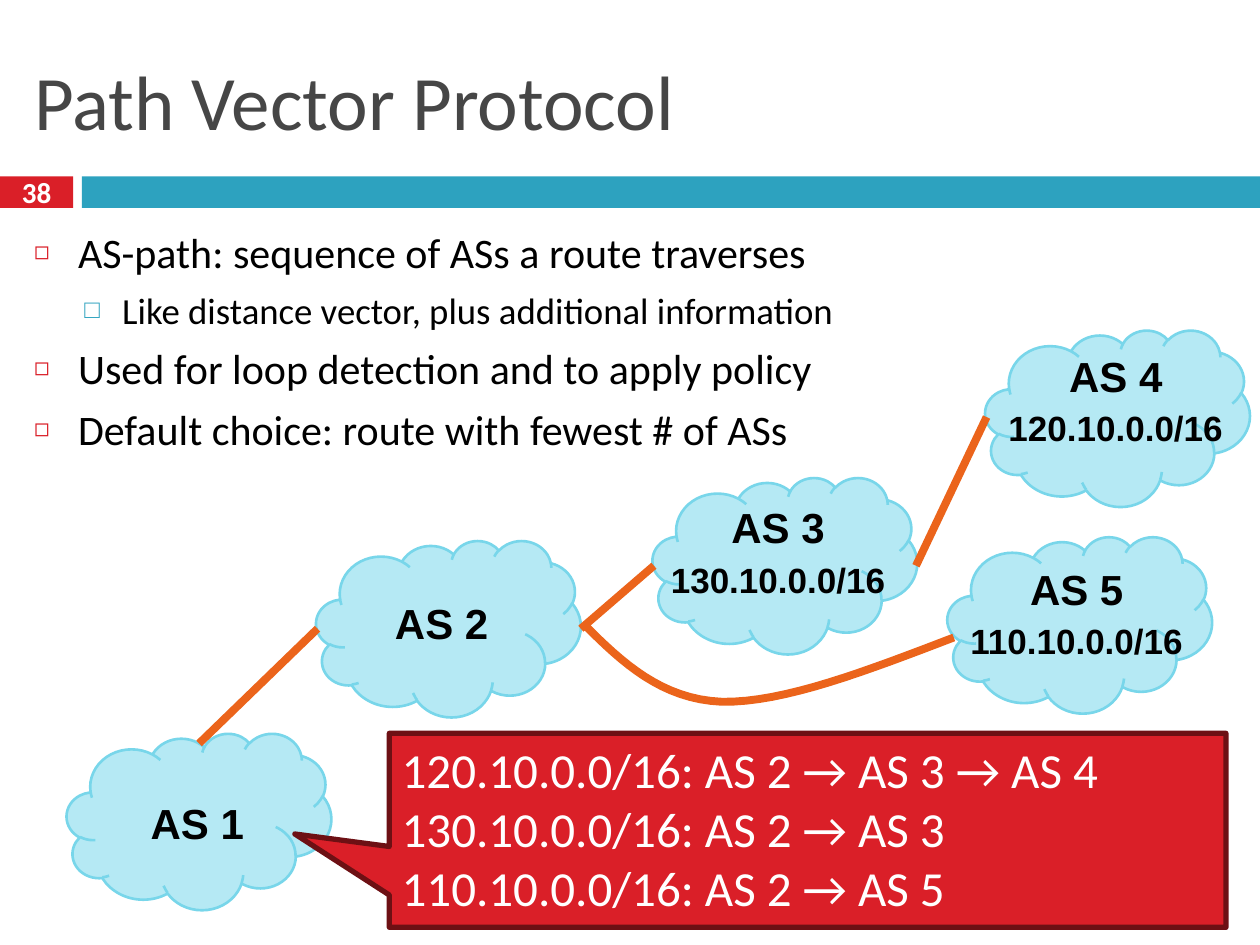
from dataclasses import dataclass

from lxml import etree
from pptx import Presentation, util as u
from pptx.dml.color import RGBColor
from pptx.enum import shapes, text
from pptx.oxml.ns import qn

Point = tuple[float, float]


@dataclass(frozen=True)
class Theme:
    body_font: str = "Calibri"
    label_font: str = "Arial"
    title: str = "464646"
    black: str = "000000"
    white: str = "FFFFFF"
    red: str = "DA1F28"
    dark_red: str = "6D1014"
    teal: str = "2DA2BF"
    cloud: str = "B5E9F4"
    cloud_edge: str = "78D6EA"
    link: str = "EB641B"
    title_size: float = 44
    route_size: float = 28
    bullet_size: float = 24
    sub_bullet_size: float = 21
    name_size: float = 24
    prefix_size: float = 20
    number_size: float = 16.6
    link_width: float = 4.5


@dataclass(frozen=True)
class AutonomousSystem:
    name: str
    corner: Point
    label: Point
    prefix: str = ""


@dataclass(frozen=True)
class Bullet:
    words: str
    level: int = 0


@dataclass(frozen=True)
class BulletStyle:
    char: str
    color: str
    percent: int
    size: float
    margin: float
    hanging: float


T = Theme()
CLOUD_SIZE = (2.1, 1.4)

SYSTEMS = [
    AutonomousSystem("AS 4", (7.82, 2.62), (8.38, 2.73), "120.10.0.0/16"),
    AutonomousSystem("AS 2", (2.51, 4.29), (3.03, 4.69)),
    AutonomousSystem("AS 1", (0.53, 5.82), (1.09, 6.28)),
    AutonomousSystem("AS 5", (7.52, 4.26), (8.07, 4.42), "110.10.0.0/16"),
    AutonomousSystem("AS 3", (5.18, 3.79), (5.7, 3.93), "130.10.0.0/16"),
]
LINKS = [
    ((2.52, 4.99), (1.58, 5.9)),
    ((4.61, 4.99), (5.19, 4.49)),
    ((7.83, 3.31), (7.27, 4.49)),
]
CURVED_LINK = [
    ((4.64, 4.96), (4.94, 5.26), (5.25, 5.55), (5.73, 5.57)),
    ((5.73, 5.57), (6.22, 5.58), (6.89, 5.32), (7.57, 5.06)),
]
BULLETS = [
    Bullet("AS-path: sequence of ASs a route traverses"),
    Bullet("Like distance vector, plus additional information", 1),
    Bullet("Used for loop detection and to apply policy"),
    Bullet("Default choice: route with fewest # of ASs"),
]
BULLET_STYLES = [
    BulletStyle("◻", T.red, 60, T.bullet_size, 0.35, 0.35),
    BulletStyle("□", T.teal, 70, T.sub_bullet_size, 0.7, 0.3),
]
ROUTES = [
    "120.10.0.0/16: AS 2 → AS 3 → AS 4",
    "130.10.0.0/16: AS 2 → AS 3",
    "110.10.0.0/16: AS 2 → AS 5",
]


def rgb(color: str) -> RGBColor:
    return RGBColor.from_string(color)


def inches(*values: float) -> list[u.Length]:
    return [u.Inches(v) for v in values]


def place(sp, x: float, y: float, w: float, h: float) -> None:
    sp.left, sp.top, sp.width, sp.height = inches(x, y, w, h)


def add_run(p, words: str, size: float, color: str,
            font: str = T.body_font, bold: bool = False) -> None:
    r = p.add_run()
    r.text = words
    r.font.size, r.font.name, r.font.bold = u.Pt(size), font, bold
    r.font.color.rgb = rgb(color)


def set_line(sp, color: str, width: float) -> None:
    sp.line.color.rgb = rgb(color)
    sp.line.width = u.Pt(width)


def add_filled(s, kind, at: tuple, fill: str, edge: str = "", width: float = 0):
    sp = s.shapes.add_shape(kind, *inches(*at))
    sp.shadow.inherit = False
    sp.fill.solid()
    sp.fill.fore_color.rgb = rgb(fill)
    if edge:
        set_line(sp, edge, width)
    else:
        sp.line.fill.background()
    return sp


def add_label(s, at: tuple, words: str, size: float) -> None:
    tf = s.shapes.add_textbox(*inches(*at)).text_frame
    tf.word_wrap = False
    p = tf.paragraphs[0]
    p.alignment = text.PP_ALIGN.CENTER
    add_run(p, words, size, T.black, T.label_font, True)


def add_system_labels(s, system: AutonomousSystem) -> None:
    x, y = system.label
    add_label(s, (x, y, 0.95, 0.5), system.name, T.name_size)
    if system.prefix:
        add_label(s, (x - 0.48, y + 0.45, 1.91, 0.43), system.prefix, T.prefix_size)


def add_link(s, start: Point, end: Point) -> None:
    line = s.shapes.add_connector(shapes.MSO_CONNECTOR.STRAIGHT, *inches(*start, *end))
    set_line(line, T.link, T.link_width)
    etree.SubElement(line._element.spPr, qn("a:effectLst"))


def bezier(curve: tuple, t: float) -> Point:
    weights = ((1 - t) ** 3, 3 * t * (1 - t) ** 2, 3 * t * t * (1 - t), t ** 3)
    return tuple(sum(w * p[i] for w, p in zip(weights, curve)) for i in (0, 1))


def add_curved_link(s, curves: list, steps: int = 16) -> None:
    """Trace cubic curves with short segments, as one open outline."""
    points = [inches(*bezier(c, k / steps)) for c in curves for k in range(1, steps + 1)]
    builder = s.shapes.build_freeform(*inches(*curves[0][0]))
    builder.add_line_segments(points, close=False)
    sp = builder.convert_to_shape()
    sp.shadow.inherit = False
    sp.fill.background()
    set_line(sp, T.link, T.link_width)


def add_bullet(p, bullet: Bullet) -> None:
    style = BULLET_STYLES[bullet.level]
    p.level = bullet.level
    p.space_before = u.Pt(6)
    pPr = p._p.get_or_add_pPr()
    pPr.set("marL", str(u.Inches(style.margin)))
    pPr.set("indent", str(-u.Inches(style.hanging)))
    color = etree.SubElement(pPr, qn("a:buClr"))
    etree.SubElement(color, qn("a:srgbClr"), val=style.color)
    etree.SubElement(pPr, qn("a:buSzPct"), val=str(style.percent * 1000))
    etree.SubElement(pPr, qn("a:buChar"), char=style.char)
    add_run(p, bullet.words, style.size, T.black)


def fill_paragraphs(tf, items: list, write) -> None:
    for i, item in enumerate(items):
        write(tf.add_paragraph() if i else tf.paragraphs[0], item)


def add_route(p, route: str) -> None:
    p.alignment = text.PP_ALIGN.LEFT
    add_run(p, route, T.route_size, T.white)


def main() -> None:
    prs = Presentation()
    prs.slide_width, prs.slide_height = inches(10, 7.5)
    s = prs.slides.add_slide(prs.slide_layouts[1])
    kinds = shapes.MSO_SHAPE

    title, body = s.placeholders
    place(title, 0.17, 0.25, 9.67, 1.08)
    title.text_frame.vertical_anchor = text.MSO_ANCHOR.MIDDLE
    title.text_frame.paragraphs[0].alignment = text.PP_ALIGN.LEFT
    add_run(title.text_frame.paragraphs[0], "Path Vector Protocol", T.title_size, T.title)
    place(body, 0.17, 1.75, 9.67, 2.43)
    fill_paragraphs(body.text_frame, BULLETS, add_bullet)

    number = add_filled(s, kinds.RECTANGLE, (0, 1.4, 0.58, 0.25), T.red)
    tf = number.text_frame
    tf.margin_left = tf.margin_right = tf.margin_top = tf.margin_bottom = 0
    tf.vertical_anchor = text.MSO_ANCHOR.MIDDLE
    tf.paragraphs[0].alignment = text.PP_ALIGN.CENTER
    add_run(tf.paragraphs[0], "38", T.number_size, T.white, bold=True)
    add_filled(s, kinds.RECTANGLE, (0.65, 1.4, 9.35, 0.25), T.teal)

    for system in SYSTEMS:
        add_filled(s, kinds.CLOUD, system.corner + CLOUD_SIZE, T.cloud, T.cloud_edge, 1.5)
    for system in SYSTEMS:
        add_system_labels(s, system)
    for start, end in LINKS:
        add_link(s, start, end)
    add_curved_link(s, CURVED_LINK)

    callout = add_filled(s, kinds.RECTANGULAR_CALLOUT, (3.09, 5.82, 6.64, 1.54),
                         T.red, T.dark_red, 3)
    callout.adjustments[0], callout.adjustments[1] = -0.613, 0.019
    callout.text_frame.vertical_anchor = text.MSO_ANCHOR.TOP
    fill_paragraphs(callout.text_frame, ROUTES, add_route)

    prs.save("out.pptx")


if __name__ == "__main__":
    main()
